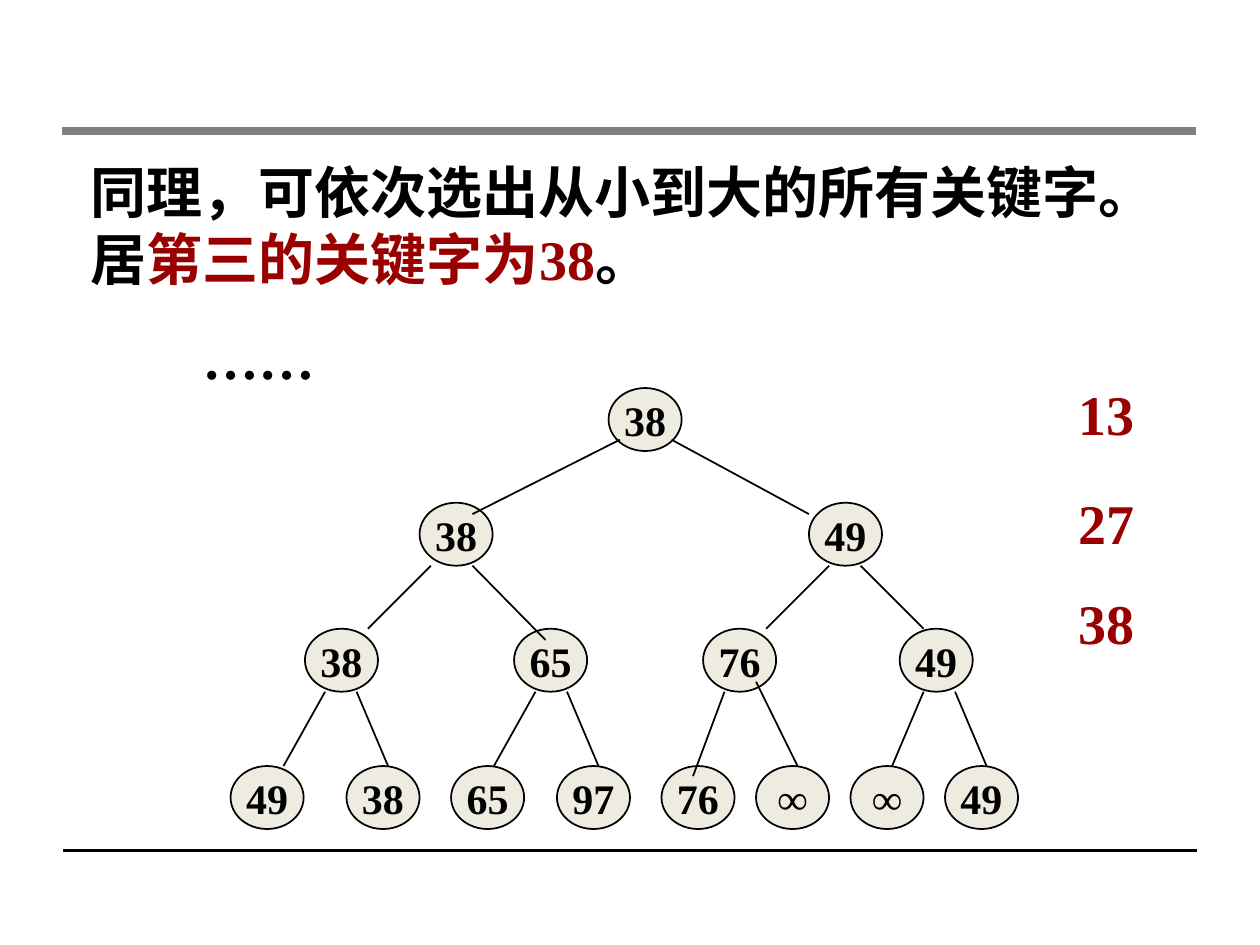
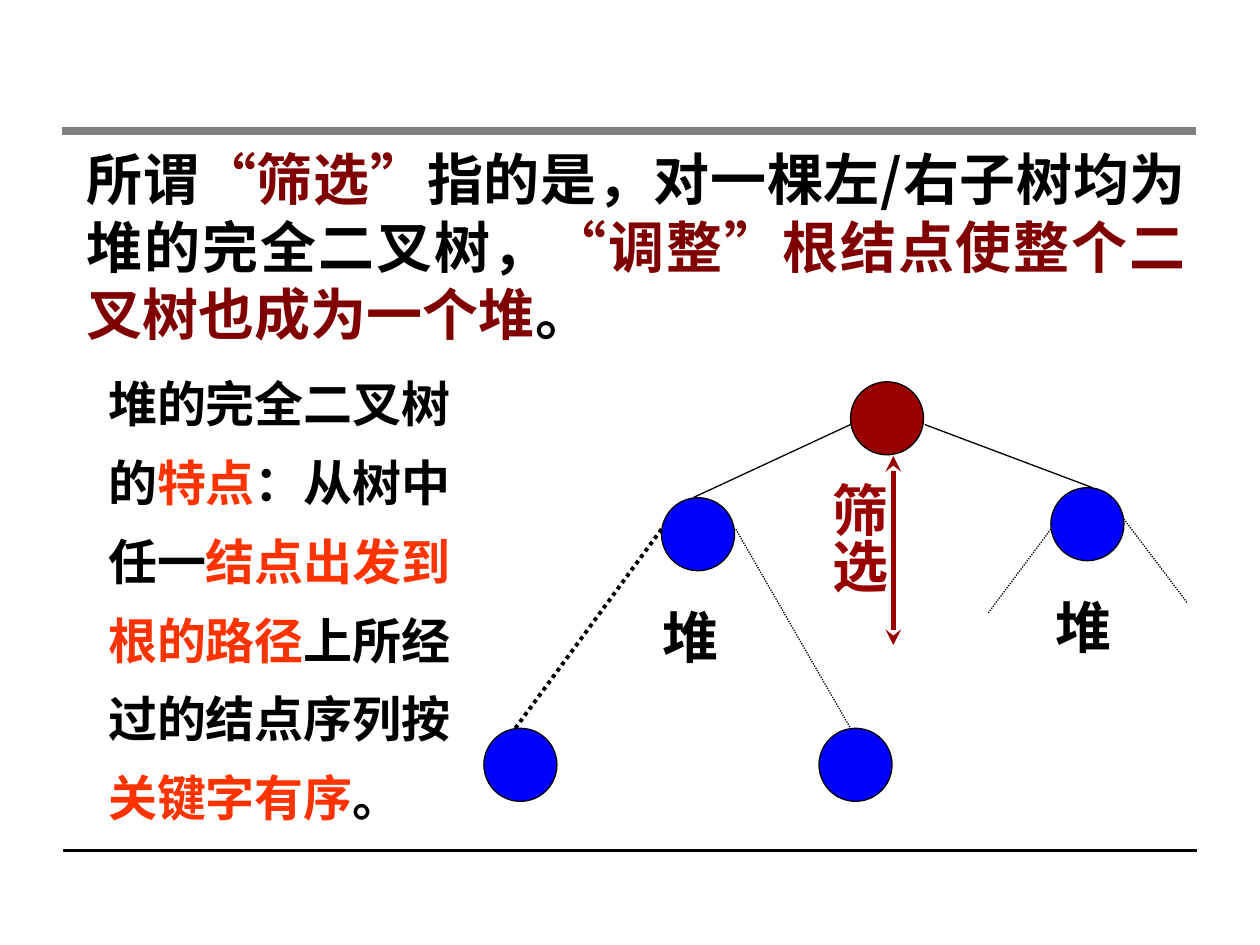
from lxml import etree
from pptx import Presentation
from pptx.dml.color import RGBColor
from pptx.enum.dml import MSO_LINE
from pptx.enum.shapes import MSO_CONNECTOR, MSO_SHAPE
from pptx.enum.text import MSO_ANCHOR, PP_ALIGN
from pptx.oxml.ns import qn
from pptx.util import Inches, Pt

BLACK = RGBColor(0x00, 0x00, 0x00)
GRAY = RGBColor(0x80, 0x80, 0x80)
CREAM = RGBColor(0xEE, 0xEC, 0xE1)
RED = RGBColor(0x99, 0x00, 0x00)
MAROON = RGBColor(0x80, 0x00, 0x00)
ORANGE = RGBColor(0xFF, 0x33, 0x00)
BLUE = RGBColor(0x00, 0x00, 0xFF)

SERIF = "Times New Roman"
SANS = "Noto Sans CJK SC"
LINE_PITCH = 38.5

OVAL = MSO_SHAPE.OVAL
STRAIGHT = MSO_CONNECTOR.STRAIGHT
MIDDLE = MSO_ANCHOR.MIDDLE
DOTTED = MSO_LINE.ROUND_DOT
LEFT, CENTER = PP_ALIGN.LEFT, PP_ALIGN.CENTER
RIGHT, JUSTIFY = PP_ALIGN.RIGHT, PP_ALIGN.JUSTIFY

# Each level of the selection tree: top of the nodes, then (left, key) pairs.
TREE_LEVELS = [
    (6.08, [(1.83, "49"), (2.75, "38"), (3.58, "65"), (4.42, "97"),
            (5.25, "76"), (6, "∞"), (6.75, "∞"), (7.5, "49")]),
    (4.99, [(2.42, "38"), (4.08, "65"), (5.58, "76"), (7.14, "49")]),
    (3.99, [(3.33, "38"), (6.42, "49")]),
    (3.08, [(4.83, "38")]),
]
TREE_EDGES = [
    (4.92, 3.49, 3.75, 4.08), (5.33, 3.49, 6.42, 4.08),
    (3.42, 4.49, 2.92, 4.99), (3.75, 4.49, 4.33, 5.08),
    (6.58, 4.49, 6.08, 4.99), (6.83, 4.49, 7.33, 4.99),
    (2.58, 5.49, 2.25, 6.08), (2.83, 5.49, 3.08, 6.08),
    (4.25, 5.49, 3.92, 6.08), (4.5, 5.49, 4.75, 6.08),
    (5.75, 5.49, 5.5, 6.16), (6, 5.41, 6.33, 6.08),
    (7.33, 5.49, 7.08, 6.08), (7.58, 5.49, 7.83, 6.08),
]
SELECTED_KEYS = [(2.96, "13"), (3.83, "27"), (4.62, "38")]

HEAP_NODES = [(6.75, 3.03, RED), (5.25, 3.95, BLUE), (8.34, 3.87, BLUE),
              (3.84, 5.78, BLUE), (6.5, 5.78, BLUE)]
HEAP_EDGES = [(6.75, 3.37, 5.5, 3.95), (7.34, 3.37, 8.67, 3.87)]
SUBTREE_EDGES = [
    (5.25, 4.2, 4.09, 5.78, 2.25), (5.84, 4.2, 6.75, 5.78, 0.75),
    (8.34, 4.2, 7.84, 4.87, 0.75), (8.92, 4.12, 9.42, 4.78, 0.75),
]


def add_line(slide, x1, y1, x2, y2, color=BLACK, width=1, dash=None):
    line = slide.shapes.add_connector(
        STRAIGHT, Inches(x1), Inches(y1), Inches(x2), Inches(y2))
    line.line.color.rgb = color
    line.line.width = Pt(width)
    if dash:
        line.line.dash_style = dash
    etree.SubElement(line._element.spPr, qn("a:effectLst"))
    return line


def add_double_arrow(slide, x1, y1, x2, y2, color, width):
    arrow = add_line(slide, x1, y1, x2, y2, color, width)
    outline = arrow.line._get_or_add_ln()
    for end in ("a:headEnd", "a:tailEnd"):
        etree.SubElement(outline, qn(end), type="stealth")


def add_node(slide, left, top, width, height, fill, line_width, key=None):
    node = slide.shapes.add_shape(
        OVAL, Inches(left), Inches(top), Inches(width), Inches(height))
    node.shadow.inherit = False
    node.fill.solid()
    node.fill.fore_color.rgb = fill
    node.line.color.rgb = BLACK
    node.line.width = Pt(line_width)
    if key:
        node.text_frame.word_wrap = False
        node.text_frame.vertical_anchor = MIDDLE
        paragraph = node.text_frame.paragraphs[0]
        paragraph.alignment = CENTER
        add_run(paragraph, key, BLACK, 24, SERIF)


def add_run(paragraph, text, color, size, font, asian_font=SANS):
    run = paragraph.add_run()
    run.text = text
    run.font.size = Pt(size)
    run.font.bold = True
    run.font.color.rgb = color
    run.font.name = font
    properties = run.font._element
    properties.set("lang", "zh-CN")
    etree.SubElement(properties, qn("a:ea"), typeface=asian_font)


def add_text(slide, left, top, width, height, runs, font=SANS, size=32,
             pitch=LINE_PITCH, align=LEFT, wrap=True):
    """Add a text box of one paragraph; each run is (text, colour[, font])."""
    box = slide.shapes.add_textbox(
        Inches(left), Inches(top), Inches(width), Inches(height))
    box.text_frame.word_wrap = wrap
    paragraph = box.text_frame.paragraphs[0]
    paragraph.alignment = align
    paragraph.line_spacing = Pt(pitch)
    for text, color, *own_font in runs:
        add_run(paragraph, text, color, size, *(own_font or [font]))
    return box.text_frame


def add_ruled_slide(presentation):
    slide = presentation.slides.add_slide(presentation.slide_layouts[6])
    add_line(slide, 0.5, 6.75, 9.5, 6.75, BLACK, 2)
    add_line(slide, 0.49, 1.04, 9.49, 1.04, GRAY, 5)
    return slide


def build_selection_slide(presentation):
    slide = add_ruled_slide(presentation)
    for top, nodes in TREE_LEVELS:
        for left, key in nodes:
            add_node(slide, left, top, 0.58, 0.5, CREAM, 1, key)
    for edge in TREE_EDGES:
        add_line(slide, *edge)

    frame = add_text(slide, 0.62, 1.2, 8.7, 1.97, [
        ("同理，可依次选出从小到大的所有关键字。居", BLACK),
        ("第三的关键字为38", RED),
        ("。", BLACK),
    ], SERIF)
    ellipsis = frame.add_paragraph()
    ellipsis.line_spacing = Pt(LINE_PITCH)
    ellipsis.space_before = Pt(18)
    ellipsis._p.get_or_add_pPr().set("marL", str(Inches(0.89)))
    add_run(ellipsis, "……", BLACK, 32, SERIF, SERIF)

    for top, key in SELECTED_KEYS:
        add_text(slide, 8.39, top, 0.71, 0.63, [(key, RED)], SERIF, align=RIGHT)


def build_sifting_slide(presentation):
    slide = add_ruled_slide(presentation)
    add_text(slide, 0.59, 1.1, 8.92, 1.72, [
        ("所谓", BLACK),
        ("“", MAROON, SERIF), ("筛选", MAROON), ("”", MAROON, SERIF),
        ("指的是，对一棵左/右子树均为堆的完全二叉树，", BLACK),
        ("“", MAROON, SERIF), ("调整", MAROON), ("”", MAROON, SERIF),
        ("根结点使整个二叉树也成为一个堆", MAROON),
        ("。", BLACK),
    ], align=JUSTIFY)

    for left, top, fill in HEAP_NODES:
        add_node(slide, left, top, 0.58, 0.58, fill, 0.75)
    for edge in HEAP_EDGES:
        add_line(slide, *edge, width=0.75)
    for *ends, width in SUBTREE_EDGES:
        add_line(slide, *ends, width=width, dash=DOTTED)
    for left, top in [(5.16, 4.73), (8.28, 4.65)]:
        add_text(slide, left, top, 0.65, 0.64, [("堆", BLACK)], wrap=False)

    add_double_arrow(slide, 7.09, 3.62, 7.09, 5.12, RED, 3)
    sifting = add_text(slide, 6.39, 3.73, 0.74, 1.68, [("筛选", RED)])
    sifting._txBody.bodyPr.set("vert", "eaVert")

    add_text(slide, 0.76, 2.76, 3.23, 3.84, [
        ("堆的完全二叉树的", BLACK),
        ("特点", ORANGE),
        ("：从树中任一", BLACK),
        ("结点出发到根的路径", ORANGE),
        ("上所经过的结点序列按", BLACK),
        ("关键字有序", ORANGE),
        ("。", BLACK),
    ], SERIF, size=28, pitch=45)


def main():
    presentation = Presentation()
    presentation.slide_width = Inches(10)
    presentation.slide_height = Inches(7.5)
    build_selection_slide(presentation)
    build_sifting_slide(presentation)
    presentation.save("out.pptx")


if __name__ == "__main__":
    main()
